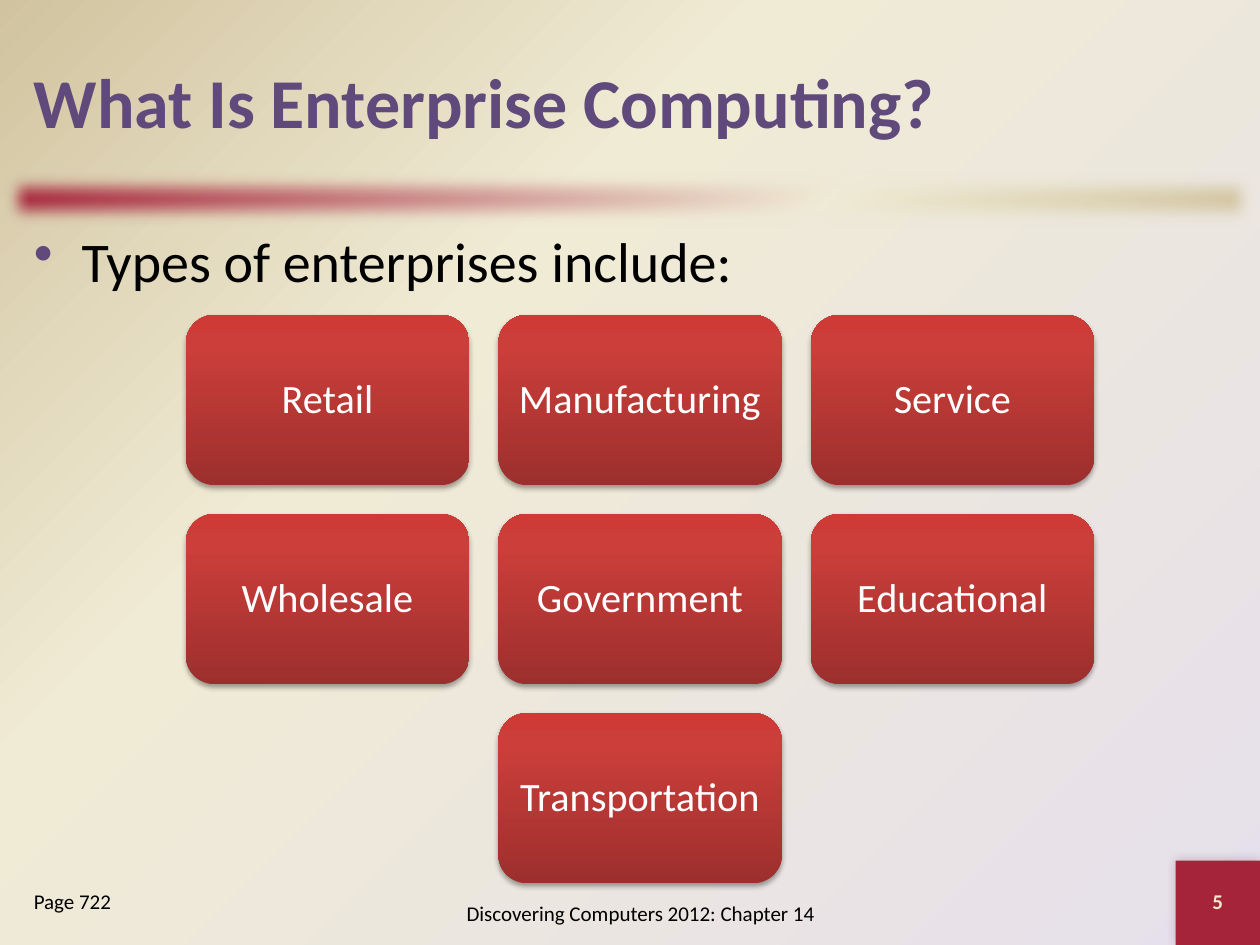
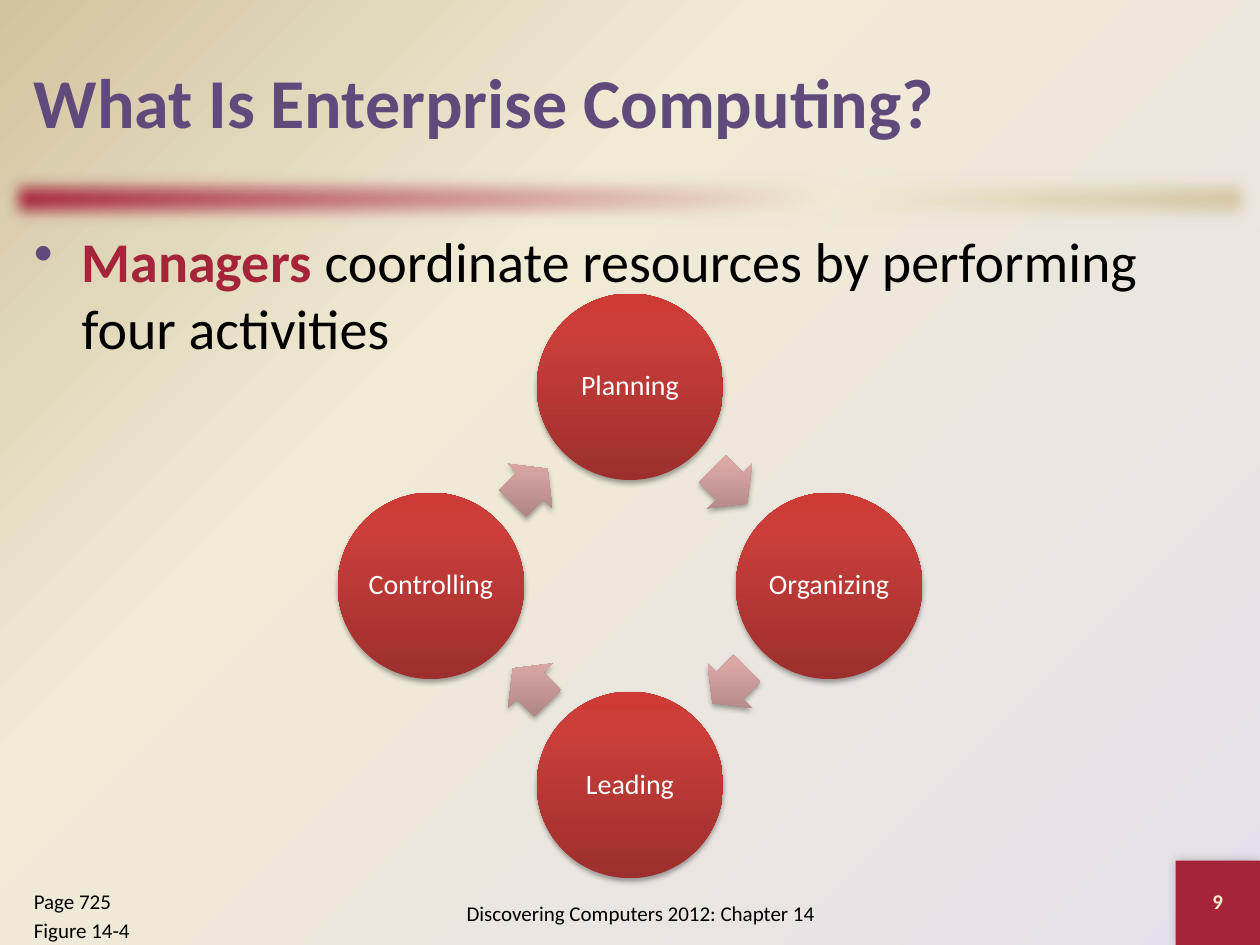
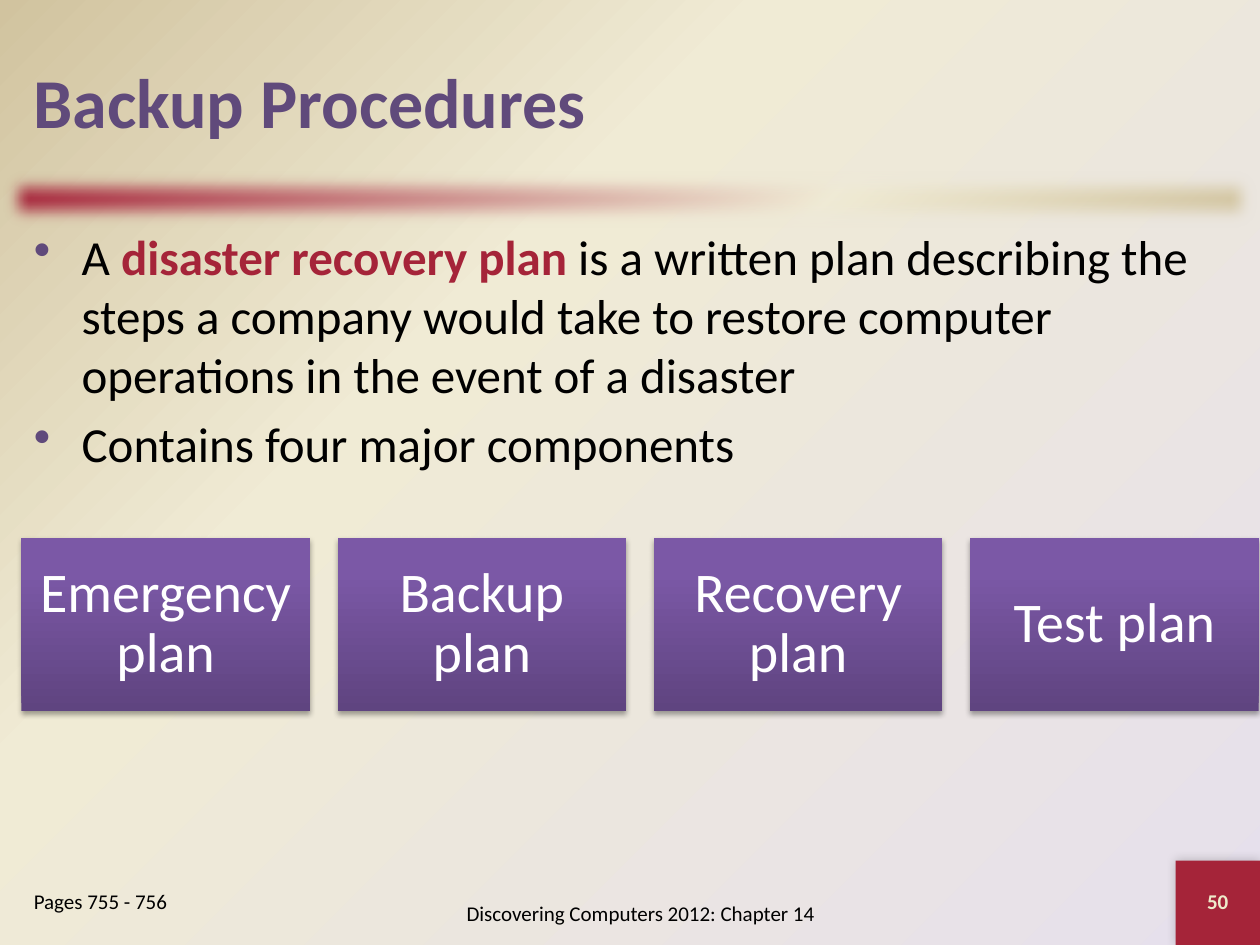
"""Build three chapter slides about enterprise computing and backup procedures."""
from dataclasses import dataclass
from math import cos, radians, sin

from pptx import Presentation
from pptx.dml.color import RGBColor
from pptx.enum.shapes import MSO_SHAPE
from pptx.enum.text import MSO_ANCHOR, PP_ALIGN
from pptx.oxml import parse_xml
from pptx.oxml.ns import nsdecls, qn
from pptx.util import Inches, Pt


@dataclass(frozen=True)
class Theme:
    """Colours, gradients and type sizes of the deck."""
    font: str = "Calibri"
    purple: str = "604A7B"
    crimson: str = "A52439"
    cream: str = "EEEBCA"
    black: str = "000000"
    white: str = "FFFFFF"
    backdrop: tuple = ((0, "E6E0EC"), (65, "F0EBD5"), (100, "D1C39F"))
    band: tuple = ((0, "A52439"), (65, "F0EBD5"), (100, "D1C39F"))
    red_fill: tuple = ((0, "9C2F2D"), (80, "CB3E3A"), (100, "CE3B37"))
    pink_fill: tuple = ((0, "A98180"), (80, "DBA7A7"), (100, "DDA7A6"))
    purple_fill: tuple = ((0, "5F4480"), (80, "7B58A6"), (100, "7C57A8"))
    title_size: int = 40
    body_size: int = 32
    dense_size: int = 28
    card_size: int = 23
    circle_size: int = 16
    note_size: int = 12


FOOTER = "Discovering Computers 2012: Chapter 14"
CENTRE_X = 5.08


def gradient(stops, direction):
    """Return a gradient fill element with the given direction markup."""
    marks = "".join(f'<a:gs pos="{place * 1000}"><a:srgbClr val="{color}"/></a:gs>'
                    for place, color in stops)
    return parse_xml(f'<a:gradFill {nsdecls("a")} rotWithShape="0">'
                     f'<a:gsLst>{marks}</a:gsLst>{direction}</a:gradFill>')


def linear(angle):
    """Return the markup of a linear gradient direction in degrees."""
    return f'<a:lin ang="{angle * 60000}" scaled="0"/>'


class SlideBuilder:
    """Hold the style and the current slide, and draw each kind of element."""

    def __init__(self, theme):
        """Start the deck and paint the shared background."""
        self.theme = theme
        self.deck = Presentation()
        self.deck.slide_width, self.deck.slide_height = Inches(10), Inches(7.5)
        self.layout = self.deck.slide_layouts[6]
        self.page = None
        self.paint_background()

    def paint_background(self):
        """Give the blank layout its radial gradient."""
        self.layout.background.fill.solid()
        solid = next(self.layout.element.iter(qn("a:solidFill")))
        corner = '<a:path path="circle"><a:fillToRect l="100000" t="100000"/></a:path>'
        solid.getparent().replace(solid, gradient(self.theme.backdrop, corner))

    def new_page(self, title, number, notes):
        """Add a slide with band, corner, title, footer and page reference."""
        theme = self.theme
        self.page = self.deck.slides.add_slide(self.layout)
        band = self.shape(MSO_SHAPE.RECTANGLE, 0, 1.33, 10, 0.5, theme.band, 45)
        self.effect(band, '<a:softEdge {} rad="127000"/>')
        corner = self.shape(MSO_SHAPE.RECTANGLE, 9.33, 6.83, 0.67, 0.67, theme.crimson)
        self.shadow(corner, 20, 6, 0, 225)
        self.label(corner, number, theme.note_size, theme.cream, bold=True)
        self.text(0.17, 0.17, 9.67, 1.25, [title], theme.title_size, theme.purple,
                  bold=True, anchor=MSO_ANCHOR.MIDDLE)
        self.text(3, 7, 4.17, 0.5, [FOOTER], theme.note_size,
                  anchor=MSO_ANCHOR.MIDDLE, align=PP_ALIGN.CENTER)
        self.text(0.17, 7, 1.83, 0.5, notes, theme.note_size)

    def shape(self, kind, left, top, width, height, fill, angle=270):
        """Add a borderless shape with a plain or gradient fill."""
        shape = self.page.shapes.add_shape(
            kind, Inches(left), Inches(top), Inches(width), Inches(height))
        if isinstance(fill, str):
            shape.fill.solid()
            shape.fill.fore_color.rgb = RGBColor.from_string(fill)
        else:
            shape.element.spPr.insert(2, gradient(fill, linear(angle)))
        shape.line.fill.background()
        shape.shadow.inherit = False
        return shape

    def effect(self, shape, markup):
        """Put one effect into the effect list of a shape."""
        effects = shape.element.spPr.find(qn("a:effectLst"))
        effects.append(parse_xml(markup.format(nsdecls("a"))))

    def shadow(self, shape, alpha=35, blur=3.1, distance=1.8, angle=90):
        """Cast a soft black shadow."""
        self.effect(shape, f'<a:outerShdw {{}} blurRad="{Pt(blur)}" dist="{Pt(distance)}" '
                           f'dir="{angle * 60000}" rotWithShape="0">'
                           f'<a:srgbClr val="{self.theme.black}">'
                           f'<a:alpha val="{alpha * 1000}"/></a:srgbClr></a:outerShdw>')

    def style(self, font, size=None, color=None, bold=None):
        """Set the typeface of a paragraph or run."""
        if size:
            font.name, font.size = self.theme.font, Pt(size)
        if color:
            font.color.rgb = RGBColor.from_string(color)
        font.bold = bold

    def label(self, shape, words, size, color, inset=0.0, bold=False):
        """Centre a label inside a shape."""
        frame = shape.text_frame
        frame.word_wrap = True
        frame.vertical_anchor = MSO_ANCHOR.MIDDLE
        frame.margin_left = frame.margin_right = Inches(inset)
        frame.margin_top = frame.margin_bottom = Inches(inset)
        para = frame.paragraphs[0]
        para.text = words
        para.alignment = PP_ALIGN.CENTER
        para.line_spacing = 0.9
        self.style(para.font, size, color, bold)

    def paragraphs(self, frame, count, size):
        """Yield the frame's paragraphs with space between them."""
        for index in range(count):
            para = frame.add_paragraph() if index else frame.paragraphs[0]
            if index:
                para.space_before = Pt(size * 0.2)
            yield para

    def frame(self, left, top, width, height, anchor=MSO_ANCHOR.TOP):
        """Add a wrapping text box and return its frame."""
        box = self.page.shapes.add_textbox(
            Inches(left), Inches(top), Inches(width), Inches(height))
        box.text_frame.word_wrap = True
        box.text_frame.vertical_anchor = anchor
        return box.text_frame

    def text(self, left, top, width, height, lines, size, color=Theme.black,
             bold=False, anchor=MSO_ANCHOR.TOP, align=PP_ALIGN.LEFT):
        """Add plain lines of text in one style."""
        frame = self.frame(left, top, width, height, anchor)
        for para, line in zip(self.paragraphs(frame, len(lines), size), lines):
            para.text = line
            para.alignment = align
            self.style(para.font, size, color, bold)

    def bullets(self, items, size):
        """Add the bulleted body; each item is a list of (words, is_key_term)."""
        frame = self.frame(0.17, 1.75, 9.67, 5.08)
        for para, item in zip(self.paragraphs(frame, len(items), size), items):
            properties = para._p.get_or_add_pPr()
            properties.set("marL", str(Inches(0.38)))
            properties.set("indent", str(Inches(-0.38)))
            properties.append(parse_xml(f'<a:buClr {nsdecls("a")}>'
                                        f'<a:srgbClr val="{self.theme.purple}"/></a:buClr>'))
            properties.append(parse_xml(f'<a:buChar {nsdecls("a")} char="•"/>'))
            self.style(para.font, size)
            for words, is_key_term in item:
                span = para.add_run()
                span.text = words
                color = self.theme.crimson if is_key_term else self.theme.black
                self.style(span.font, color=color, bold=is_key_term)

    def card(self, kind, left, top, width, height, words, fill, size, inset):
        """Add a shadowed shape with a white label."""
        card = self.shape(kind, left, top, width, height, fill)
        self.shadow(card)
        self.label(card, words, size, self.theme.white, inset)

    def card_row(self, kind, labels, top, width, height, gap, fill, size, inset):
        """Add a centred row of equal cards."""
        step = width + gap
        first = CENTRE_X - (len(labels) * step - gap) / 2
        for column, words in enumerate(labels):
            self.card(kind, first + column * step, top, width, height,
                      words, fill, size, inset)

    def cycle(self, labels, centre_x, centre_y, radius, diameter):
        """Add circles clockwise from the top, with an arrow after each."""
        theme = self.theme
        turn = 360 // len(labels)
        arrow_radius, arrow_width, arrow_height = 1.12, 0.39, 0.5
        for index, words in enumerate(labels):
            angle = index * turn
            self.card(MSO_SHAPE.OVAL,
                      centre_x + radius * sin(radians(angle)) - diameter / 2,
                      centre_y - radius * cos(radians(angle)) - diameter / 2,
                      diameter, diameter, words, theme.red_fill, theme.circle_size, 0)
            middle = angle + turn / 2
            arrow = self.shape(
                MSO_SHAPE.RIGHT_ARROW,
                centre_x + arrow_radius * sin(radians(middle)) - arrow_width / 2,
                centre_y - arrow_radius * cos(radians(middle)) - arrow_height / 2,
                arrow_width, arrow_height, theme.pink_fill)
            arrow.adjustments[0], arrow.adjustments[1] = 0.6, 0.5
            arrow.rotation = middle
            self.shadow(arrow)


def main():
    """Build the slides and save the deck."""
    theme = Theme()
    builder = SlideBuilder(theme)

    builder.new_page("What Is Enterprise Computing?", "5", ["Page 722"])
    builder.bullets([[("Types of enterprises include:", False)]], theme.body_size)
    enterprise_rows = (("Retail", "Manufacturing", "Service"),
                       ("Wholesale", "Government", "Educational"),
                       ("Transportation",))
    for row, labels in enumerate(enterprise_rows):
        builder.card_row(MSO_SHAPE.ROUNDED_RECTANGLE, labels, 2.5 + row * 1.58,
                         2.25, 1.35, 0.23, theme.red_fill, theme.card_size, 0.04)

    builder.new_page("What Is Enterprise Computing?", "9", ["Page 725", "Figure 14-4"])
    builder.bullets([[("Managers ", True),
                      ("coordinate resources by performing four activities", False)]],
                    theme.body_size)
    builder.cycle(("Planning", "Organizing", "Leading", "Controlling"), 5, 4.65, 1.58, 1.48)

    builder.new_page("Backup Procedures", "50", ["Pages 755 - 756"])
    builder.bullets([[("A ", False), ("disaster recovery plan ", True),
                      ("is a written plan describing the steps a company would take to "
                       "restore computer operations in the event of a disaster", False)],
                     [("Contains four major components", False)]], theme.dense_size)
    builder.card_row(MSO_SHAPE.RECTANGLE,
                     ("Emergency plan", "Backup plan", "Recovery plan", "Test plan"),
                     4.27, 2.29, 1.37, 0.22, theme.purple_fill, theme.body_size, 0.13)

    builder.deck.save("out.pptx")


if __name__ == "__main__":
    main()
